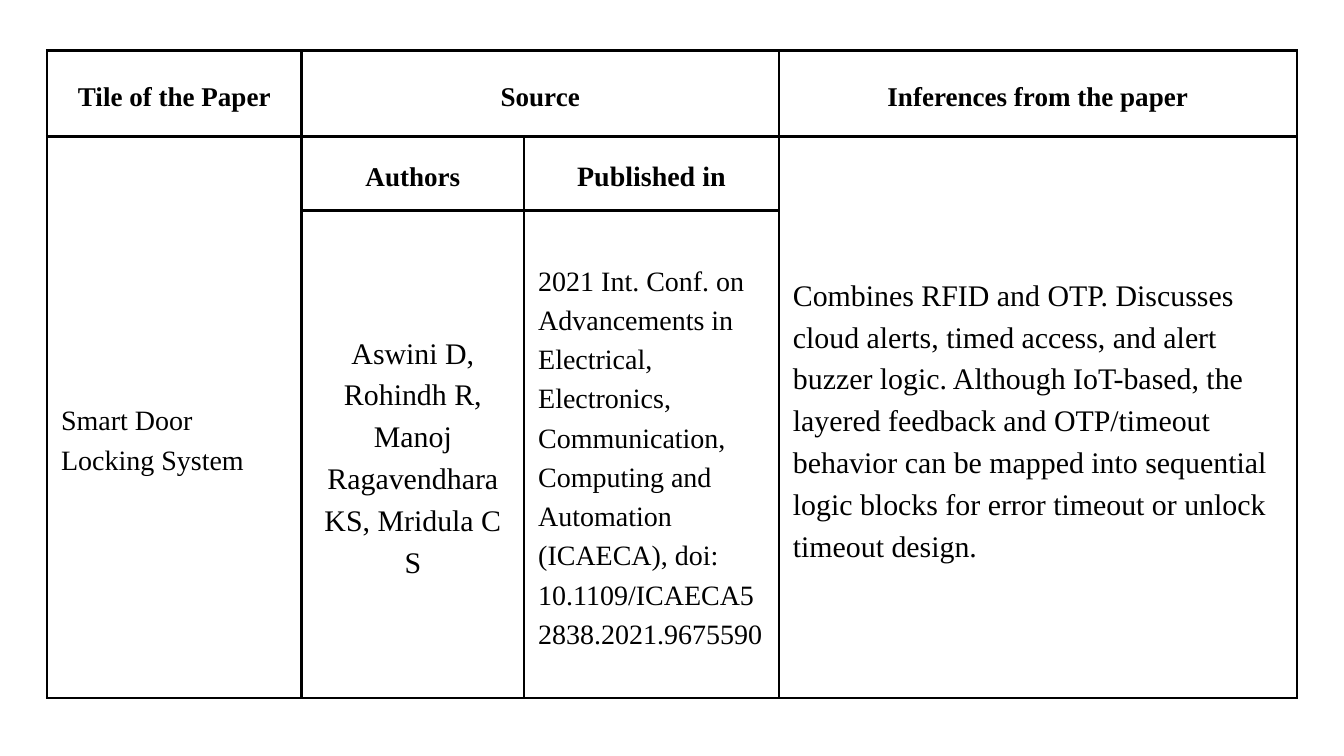
from pptx import Presentation
from pptx.dml.color import RGBColor
from pptx.enum.text import MSO_ANCHOR as Anchor, PP_ALIGN as Align
from pptx.oxml import parse_xml
from pptx.oxml.ns import nsdecls
from pptx.util import Inches, Pt

BLACK = RGBColor(0, 0, 0)
FONT = "Times New Roman"
LINE_RATIO = 1.4
PADDING = 0.21
BORDER = Pt(3)
COLUMNS = [3.79, 3.31, 3.79, 7.71]
ROWS = [1.28, 1.1, 7.26]


def write(cell, text, size=29, bold=False, align=Align.CENTER, top=PADDING):
    cell.vertical_anchor = Anchor.MIDDLE
    cell.margin_left = cell.margin_right = cell.margin_bottom = Inches(PADDING)
    cell.margin_top = Inches(top)
    paragraph = cell.text_frame.paragraphs[0]
    paragraph.alignment = align
    paragraph.line_spacing = Pt(size * LINE_RATIO)
    run = paragraph.add_run()
    run.text = text
    run.font.name, run.font.size, run.font.bold = FONT, Pt(size), bold
    run.font.color.rgb = BLACK


prs = Presentation()
prs.slide_width, prs.slide_height = Inches(20), Inches(11.25)
slide = prs.slides.add_slide(prs.slide_layouts[6])

# Table grid
papers = slide.shapes.add_table(
    len(ROWS), len(COLUMNS), Inches(0.7), Inches(0.75),
    Inches(sum(COLUMNS)), Inches(sum(ROWS))).table
papers.first_row = papers.horz_banding = False
for column, width in zip(papers.columns, COLUMNS):
    column.width = Inches(width)
for row, height in zip(papers.rows, ROWS):
    row.height = Inches(height)

# Black borders, no fill
for cell in papers.iter_cells():
    properties = cell._tc.get_or_add_tcPr()
    for side in "LRTB":
        properties.append(parse_xml(
            f'<a:ln{side} {nsdecls("a")} w="{BORDER}"><a:solidFill>'
            f'<a:srgbClr val="{BLACK}"/></a:solidFill></a:ln{side}>'))
    cell.fill.background()

# Merged cells
papers.cell(0, 1).merge(papers.cell(0, 2))
for column in (0, 3):
    papers.cell(1, column).merge(papers.cell(2, column))

# Headings
write(papers.cell(0, 0), "Tile of the Paper", bold=True)
write(papers.cell(0, 1), "Source", bold=True)
write(papers.cell(0, 3), "Inferences from the paper", bold=True)
write(papers.cell(1, 1), "Authors", bold=True)
write(papers.cell(1, 2), "Published in", size=30, bold=True)

# Paper details; the title sits one line lower than the middle allows
write(papers.cell(1, 0), "Smart Door Locking System", size=30,
      align=Align.LEFT, top=PADDING + 30 * LINE_RATIO / 72)
write(papers.cell(2, 1),
      "Aswini D, Rohindh R, Manoj Ragavendhara KS, Mridula C S", size=32)
write(papers.cell(2, 2),
      "2021 Int. Conf. on Advancements in Electrical, Electronics, "
      "Communication, Computing and Automation (ICAECA), doi: "
      "10.1109/ICAECA52838.2021.9675590", size=30, align=Align.LEFT)
write(papers.cell(1, 3),
      "Combines RFID and OTP. Discusses cloud alerts, timed access, and alert "
      "buzzer logic. Although IoT-based, the layered feedback and OTP/timeout "
      "behavior can be mapped into sequential logic blocks for error timeout "
      "or unlock timeout design.", size=32, align=Align.LEFT)

prs.save("out.pptx")
